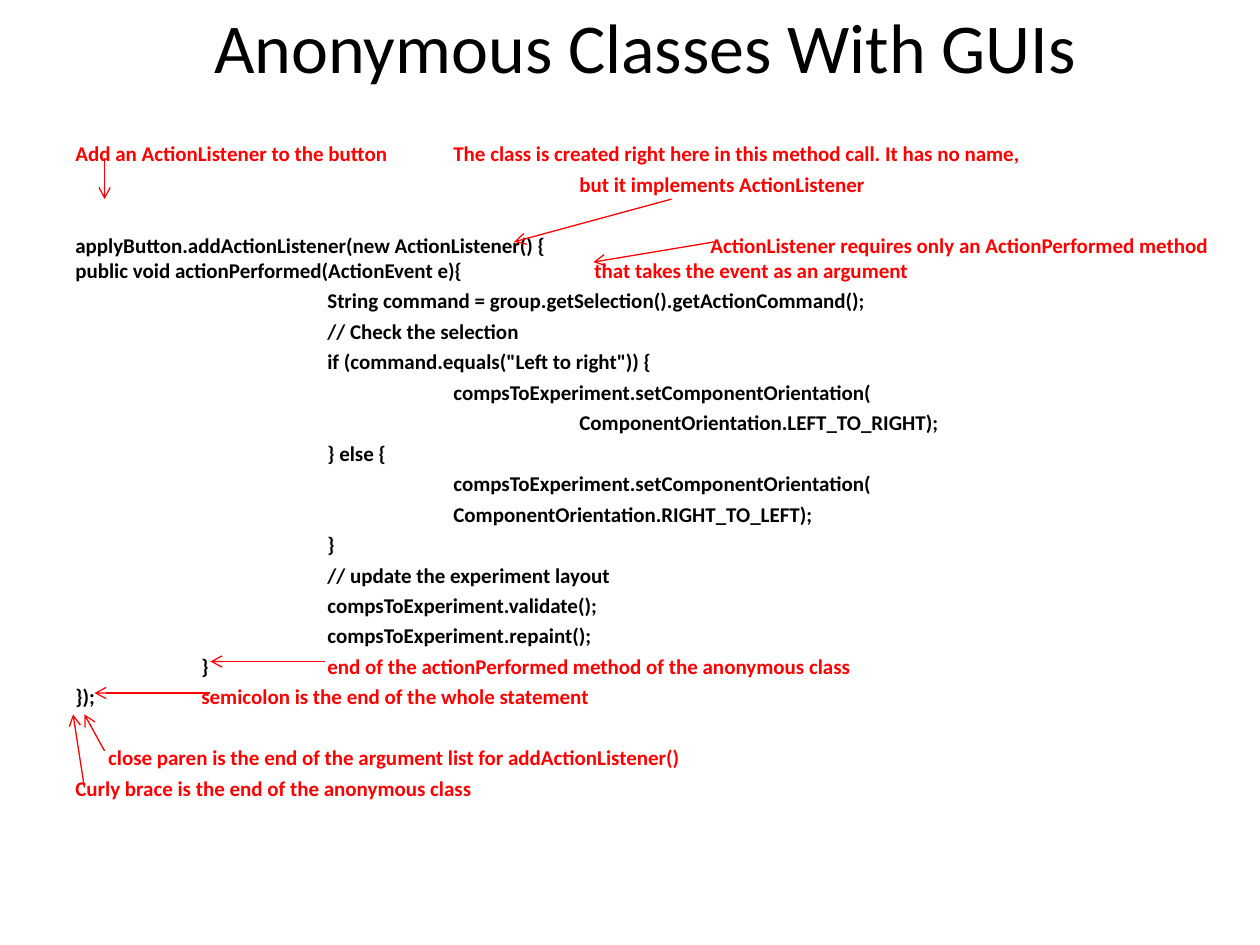
from typing import NamedTuple

from lxml.etree import SubElement
from pptx import Presentation
from pptx.dml.color import RGBColor
from pptx.enum.shapes import MSO_CONNECTOR
from pptx.enum.text import MSO_ANCHOR, PP_ALIGN
from pptx.oxml.ns import qn
from pptx.util import Inches, Pt

BLACK = RGBColor(0, 0, 0)
RED = RGBColor(255, 0, 0)
FONT = "Calibri"
GAP = 3
BLANK_LINE_GAP = 20.4


class Line(NamedTuple):
    code: str = ""
    note: str = ""
    indent: float = 0
    stops: tuple[float, ...] = ()
    before: float = GAP


class Arrow(NamedTuple):
    start: tuple[float, float]
    end: tuple[float, float]


LINES = [
    Line(note="Add an ActionListener to the button\tThe class is created right here "
              "in this method call. It has no name,", stops=(3,), before=0),
    Line(note="but it implements ActionListener", indent=4),
    Line("applyButton.addActionListener(new ActionListener() {\t",
         "ActionListener requires only an ActionPerformed method",
         stops=(5.04,), before=BLANK_LINE_GAP),
    Line("public void actionPerformed(ActionEvent e){\t",
         "that takes the event as an argument", stops=(4.12,), before=0),
    Line("String command = group.getSelection().getActionCommand();", indent=2),
    Line("// Check the selection", indent=2),
    Line('if (command.equals("Left to right")) {', indent=2),
    Line("compsToExperiment.setComponentOrientation(", indent=3),
    Line("ComponentOrientation.LEFT_TO_RIGHT);", indent=4),
    Line("} else {", indent=2),
    Line("compsToExperiment.setComponentOrientation(", indent=3),
    Line("ComponentOrientation.RIGHT_TO_LEFT);", indent=3),
    Line("}", indent=2),
    Line("// update the experiment layout", indent=2),
    Line("compsToExperiment.validate();", indent=2),
    Line("compsToExperiment.repaint();", indent=2),
    Line("\t}\t", "end of the actionPerformed method of the anonymous class",
         stops=(1, 2)),
    Line("});\t", "semicolon is the end of the whole statement", stops=(1,)),
    Line(note="close paren is the end of the argument list for addActionListener()",
         indent=0.26, before=BLANK_LINE_GAP),
    Line(note="Curly brace is the end of the anonymous class"),
]

ARROWS = [
    Arrow((0.83, 1.25), (0.83, 1.58)),
    Arrow((5.33, 1.58), (4.08, 1.92)),
    Arrow((5.67, 1.92), (4.71, 2.08)),
    Arrow((2.58, 5.25), (1.67, 5.25)),
    Arrow((0.67, 6.25), (0.58, 5.67)),
    Arrow((0.83, 5.96), (0.67, 5.67)),
    Arrow((1.67, 5.5), (0.75, 5.5)),
]


def add_box(page, left: float, top: float, width: float, height: float):
    box = page.shapes.add_textbox(
        Inches(left), Inches(top), Inches(width), Inches(height))
    box.text_frame.word_wrap = True
    return box.text_frame


def add_title(page, text: str) -> None:
    frame = add_box(page, 0.08, 0, 10.08, 0.72)
    frame.vertical_anchor = MSO_ANCHOR.MIDDLE
    para = frame.paragraphs[0]
    para.text = text
    para.alignment = PP_ALIGN.CENTER
    para.font.name = FONT
    para.font.size = Pt(40)
    para.font.color.rgb = BLACK


def fill_line(para, line: Line) -> None:
    para.space_before = Pt(line.before)
    properties = para._p.get_or_add_pPr()
    if line.indent:
        properties.set("marL", str(Inches(line.indent)))
        properties.set("indent", "0")
    if line.stops:
        tabs = SubElement(properties, qn("a:tabLst"))
        for stop in line.stops:
            SubElement(tabs, qn("a:tab"), pos=str(Inches(stop)), algn="l")
    para.font.name = FONT
    para.font.size = Pt(12)
    para.font.bold = True
    for text, color in ((line.code, BLACK), (line.note, RED)):
        if text:
            span = para.add_run()
            span.text = text
            span.font.color.rgb = color


def add_listing(page, lines: list[Line]) -> None:
    frame = add_box(page, 0.5, 1.07, 9.33, 5.63)
    for index, line in enumerate(lines):
        para = frame.add_paragraph() if index else frame.paragraphs[0]
        fill_line(para, line)


def add_arrow(page, arrow: Arrow) -> None:
    connector = page.shapes.add_connector(
        MSO_CONNECTOR.STRAIGHT,
        *(Inches(value) for value in arrow.start + arrow.end))
    connector.line.color.rgb = RED
    connector.line.width = Pt(0.75)
    SubElement(connector.line._get_or_add_ln(), qn("a:tailEnd"), type="arrow")
    SubElement(connector._element.spPr, qn("a:effectLst"))


def main() -> None:
    deck = Presentation()
    deck.slide_width = Inches(10)
    deck.slide_height = Inches(7.5)
    page = deck.slides.add_slide(deck.slide_layouts[6])
    add_title(page, "Anonymous Classes With GUIs")
    add_listing(page, LINES)
    for arrow in ARROWS:
        add_arrow(page, arrow)
    deck.save("out.pptx")


if __name__ == "__main__":
    main()
